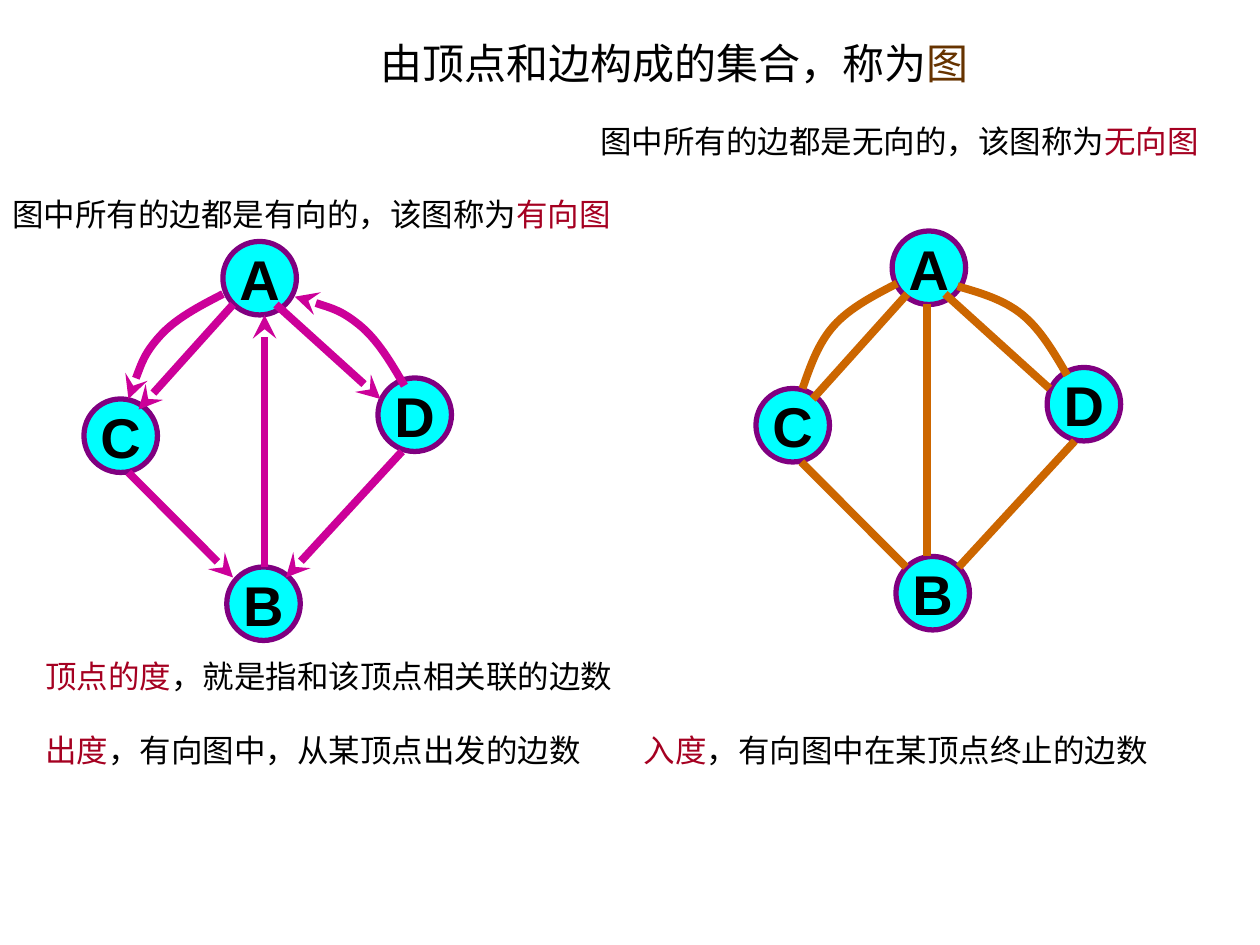
from dataclasses import dataclass

from lxml import etree
from pptx import Presentation
from pptx.dml.color import RGBColor
from pptx.enum.shapes import MSO_CONNECTOR, MSO_SHAPE
from pptx.enum.text import MSO_ANCHOR, MSO_AUTO_SIZE, PP_ALIGN
from pptx.oxml.ns import qn
from pptx.util import Pt

STRAIGHT = MSO_CONNECTOR.STRAIGHT
OVAL = MSO_SHAPE.OVAL
TOP, MIDDLE = MSO_ANCHOR.TOP, MSO_ANCHOR.MIDDLE
GROW, FIXED = MSO_AUTO_SIZE.SHAPE_TO_FIT_TEXT, MSO_AUTO_SIZE.NONE
LEFT, CENTER = PP_ALIGN.LEFT, PP_ALIGN.CENTER
TITLE_ONLY = 5


@dataclass(frozen=True)
class Theme:
    ink: str = "000000"
    topic: str = "663300"
    term: str = "A50021"
    vertex_fill: str = "00FFFF"
    vertex_line: str = "800080"
    directed: str = "CC0099"
    undirected: str = "CC6600"
    latin: str = "Arial"
    chinese: str = "Noto Sans CJK SC"
    title_size: int = 24
    text_size: int = 18
    vertex_size: int = 32
    vertex_border: float = 3
    edge_width: float = 4.5


THEME = Theme()
VERTEX_DIAMETER = 42
RISE = -6  # vertical offset of the undirected graph from the directed one

# Directed-graph position, then the x offset to the undirected graph
VERTICES = [
    ("A", 127.4, 138, 382.4),
    ("C", 48, 228, 384),
    ("B", 129.6, 324, 382.4),
    ("D", 216, 216, 382.4),
]
STRAIGHT_EDGES = [
    ((151.2, 324), (151.2, 180), 378.7),
    ((73.4, 270), (133.2, 330), 384.5),
    ((229.7, 258), (163.4, 330), 384.5),
    ((133.2, 174), (79.2, 234), 385.2),
    ((157.7, 174), (217.4, 228), 382.3),
]
# Position, rotation and x offset of the shared arc
CURVED_EDGES = [
    (73.4, 168, 0, 385.2),
    (172.8, 165, 87.1, 378.7),
]
ARC = [(54, 0), (40.5, 7), (27, 14), (18, 24), (9, 34), (4.5, 47), (0, 60)]


def set_all(target, values):
    for name, value in values.items():
        setattr(target, name, value)


class GraphSlide:
    def __init__(self, slide, theme):
        self.slide = slide
        self.theme = theme

    def put_text(self, shape, runs, size, font, frame, align=LEFT, bold=False):
        """Fill a shape with one paragraph of (text, colour) runs."""
        set_all(shape.text_frame, frame)
        paragraph = shape.text_frame.paragraphs[0]
        paragraph.alignment = align
        for text, color in runs:
            run = paragraph.add_run()
            run.text = text
            set_all(run.font, {"size": Pt(size), "name": font, "bold": bold})
            run.font.color.rgb = RGBColor.from_string(color)
            east_asian = etree.Element(qn("a:ea"), typeface=self.theme.chinese)
            run.font._element.find(qn("a:latin")).addnext(east_asian)

    def title(self, left, top, width, height, runs):
        heading = self.slide.shapes.title
        set_all(heading, {"left": Pt(left), "top": Pt(top),
                          "width": Pt(width), "height": Pt(height)})
        self.put_text(heading, runs, self.theme.title_size, self.theme.latin,
                      {"word_wrap": True, "auto_size": GROW, "vertical_anchor": TOP})

    def caption(self, left, top, width, runs):
        box = self.slide.shapes.add_textbox(Pt(left), Pt(top), Pt(width), Pt(29))
        self.put_text(box, runs, self.theme.text_size, self.theme.latin,
                      {"word_wrap": True, "auto_size": GROW, "vertical_anchor": TOP})

    def definition(self, left, top, width, term, meaning):
        box = self.slide.shapes.add_textbox(Pt(left), Pt(top), Pt(width), Pt(29))
        runs = [(term, self.theme.term), (meaning, self.theme.ink)]
        self.put_text(box, runs, self.theme.text_size, self.theme.chinese,
                      {"word_wrap": False, "auto_size": GROW, "vertical_anchor": MIDDLE})

    def vertex(self, shapes, label, left, top):
        circle = shapes.add_shape(OVAL, Pt(left), Pt(top),
                                  Pt(VERTEX_DIAMETER), Pt(VERTEX_DIAMETER))
        circle.shadow.inherit = False
        circle.fill.solid()
        circle.fill.fore_color.rgb = RGBColor.from_string(self.theme.vertex_fill)
        circle.line.color.rgb = RGBColor.from_string(self.theme.vertex_line)
        circle.line.width = Pt(self.theme.vertex_border)
        self.put_text(circle, [(label, self.theme.ink)], self.theme.vertex_size,
                      self.theme.latin,
                      {"word_wrap": False, "auto_size": FIXED, "vertical_anchor": MIDDLE},
                      CENTER, True)

    def style_edge(self, edge, directed):
        color = self.theme.directed if directed else self.theme.undirected
        edge.line.color.rgb = RGBColor.from_string(color)
        edge.line.width = Pt(self.theme.edge_width)
        if directed:
            outline = edge._element.spPr.find(qn("a:ln"))
            etree.SubElement(outline, qn("a:tailEnd"), type="stealth")

    def straight_edge(self, shapes, start, end, directed):
        edge = shapes.add_connector(STRAIGHT, *map(Pt, start + end))
        self.style_edge(edge, directed)
        etree.SubElement(edge._element.spPr, qn("a:effectLst"))

    def curved_edge(self, shapes, left, top, rotation, directed):
        """Draw the arc, turning each three line segments into one Bézier curve."""
        start, *others = [(Pt(x), Pt(y)) for x, y in ARC]
        builder = shapes.build_freeform(*start)
        builder.add_line_segments(others, close=False)
        edge = builder.convert_to_shape(Pt(left), Pt(top))
        outline = edge._element.find(".//" + qn("a:path"))
        segments = outline.findall(qn("a:lnTo"))
        for first in range(0, len(segments), 3):
            curve = etree.SubElement(outline, qn("a:cubicBezTo"))
            for segment in segments[first:first + 3]:
                curve.append(segment[0])
                outline.remove(segment)
        edge.rotation = rotation
        edge.fill.background()
        edge.shadow.inherit = False
        self.style_edge(edge, directed)

    def graph(self, shapes, directed):
        side, rise = (0, 0) if directed else (1, RISE)
        for label, x, y, offset in VERTICES:
            self.vertex(shapes, label, x + side * offset, y + rise)
        for start, end, offset in STRAIGHT_EDGES:
            ends = [(x + side * offset, y + rise) for x, y in (start, end)]
            self.straight_edge(shapes, *ends, directed)
        for x, y, rotation, offset in CURVED_EDGES:
            self.curved_edge(shapes, x + side * offset, y + rise, rotation, directed)


def main():
    deck = Presentation()
    deck.slide_width, deck.slide_height = Pt(720), Pt(540)
    slide = deck.slides.add_slide(deck.slide_layouts[TITLE_ONLY])
    page = GraphSlide(slide, THEME)

    page.title(210, 18, 366, 36,
               [("由顶点和边构成的集合，称为", THEME.ink), ("图", THEME.topic)])
    page.graph(slide.shapes, directed=False)
    page.caption(336, 66, 366, [("图中所有的边都是无向的，该图称为", THEME.ink),
                                ("无向图", THEME.term)])
    page.graph(slide.shapes.add_group_shape().shapes, directed=True)
    page.caption(0, 108, 366, [("图中所有的边都是有向的，该图称为", THEME.ink),
                               ("有向图", THEME.term)])
    page.definition(18.7, 372, 342, "顶点的度", "，就是指和该顶点相关联的边数")
    page.definition(18.7, 414, 324, "出度", "，有向图中，从某顶点出发的边数")
    page.definition(360.7, 414, 306, "入度", "，有向图中在某顶点终止的边数")

    deck.save("out.pptx")


if __name__ == "__main__":
    main()
